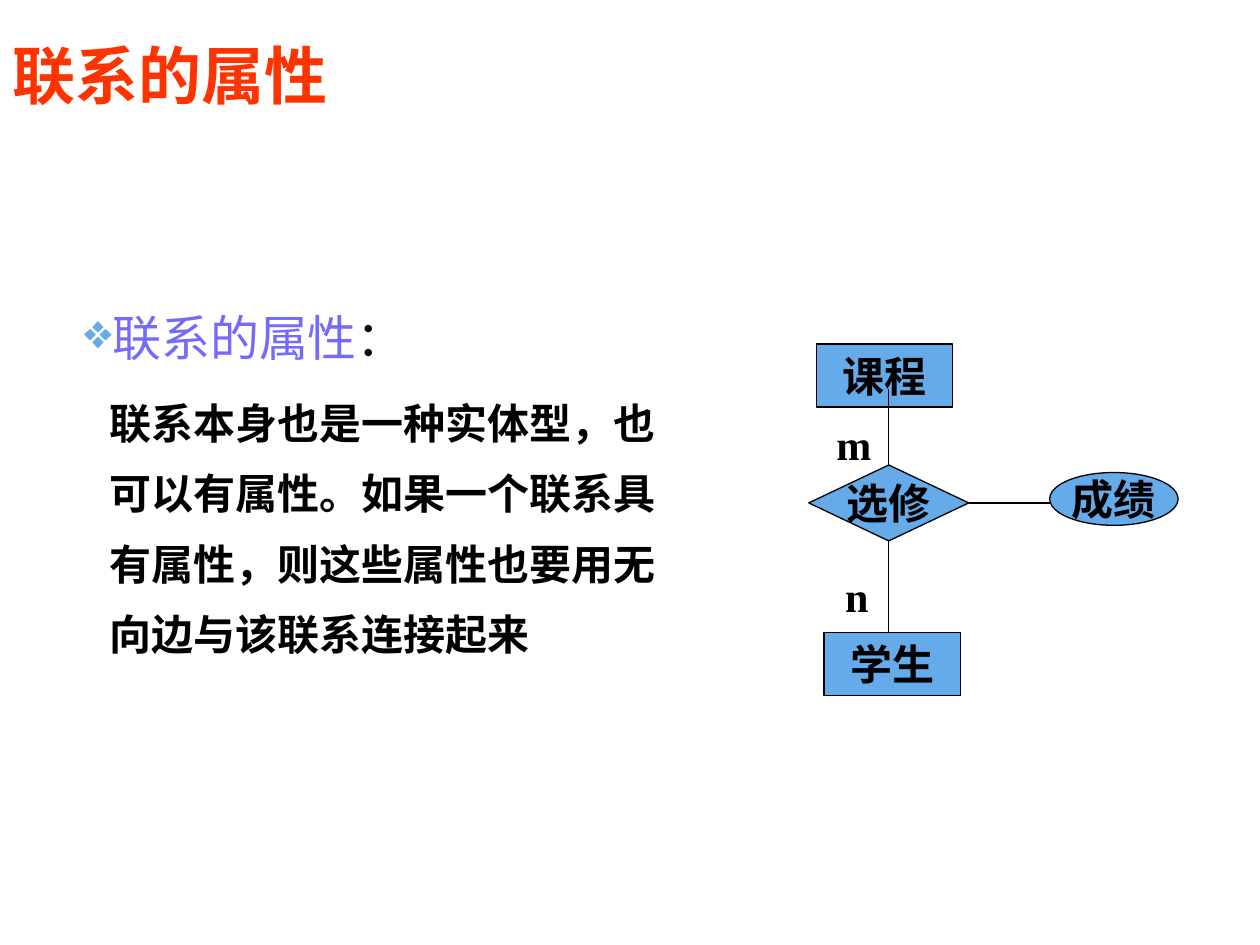
"""Build a slide on relationship attributes with a small ER diagram."""
import pptx
import pptx.dml.color
import pptx.enum.shapes
import pptx.enum.text
import pptx.oxml.ns
import pptx.util
from lxml import etree

Pt = pptx.util.Pt
SHAPES = pptx.enum.shapes.MSO_SHAPE
ALIGN = pptx.enum.text.PP_ALIGN
ANCHOR = pptx.enum.text.MSO_ANCHOR
qn = pptx.oxml.ns.qn

COLORS = {
    "title": "FF3300",
    "node": "65AAE9",
    "ink": "000000",
    "term": "746AFC",
}
LATIN = "Times New Roman"
CJK = "Noto Sans CJK SC"


def color(name):
    """Return a named colour."""
    return pptx.dml.color.RGBColor.from_string(COLORS[name])


def add_span(para, text, size=24, name="ink", bold=True, font=LATIN):
    """Add one run with its Latin and East Asian fonts."""
    span = para.add_run()
    span.text = text
    span.font.size = Pt(size)
    span.font.bold = bold
    span.font.name = font
    span.font.color.rgb = color(name)
    latin = span.font._element.find(qn("a:latin"))
    latin.addnext(latin.makeelement(qn("a:ea"), {"typeface": CJK}))


def add_box(page, left, top, width, height, anchor=ANCHOR.MIDDLE):
    """Add an empty wrapping text box."""
    box = page.shapes.add_textbox(Pt(left), Pt(top), Pt(width), Pt(height))
    box.text_frame.word_wrap = True
    box.text_frame.vertical_anchor = anchor
    return box


def add_node(page, kind, text, left, top, width, height):
    """Add a diagram node with a centred label."""
    node = page.shapes.add_shape(kind, Pt(left), Pt(top), Pt(width), Pt(height))
    node.shadow.inherit = False
    node.fill.solid()
    node.fill.fore_color.rgb = color("node")
    node.line.color.rgb = color("ink")
    node.line.width = Pt(0.75)
    node.text_frame.word_wrap = False
    node.text_frame.vertical_anchor = ANCHOR.MIDDLE
    para = node.text_frame.paragraphs[0]
    para.alignment = ALIGN.CENTER
    add_span(para, text)
    return node


def add_edge(page, node, site, x, y):
    """Draw a line from a connection site of a node to a point."""
    edge = page.shapes.add_connector(
        pptx.enum.shapes.MSO_CONNECTOR.STRAIGHT, Pt(x), Pt(y), Pt(x), Pt(y))
    edge.begin_connect(node, site)
    edge.line.color.rgb = color("ink")
    edge.line.width = Pt(0.75)
    etree.SubElement(edge._element.spPr, qn("a:effectLst"))


def add_bullet(para):
    """Give a paragraph a coloured diamond bullet."""
    properties = para._p.get_or_add_pPr()
    tint = etree.SubElement(properties, qn("a:buClr"))
    etree.SubElement(tint, qn("a:srgbClr"), val=COLORS["node"])
    etree.SubElement(properties, qn("a:buChar"), char="❖")


def set_layout(para, spacing, indent=0):
    """Set the line spacing and the indents of a paragraph."""
    para.line_spacing = Pt(spacing)
    properties = para._p.get_or_add_pPr()
    properties.set("marL", str(Pt(36)))
    properties.set("indent", str(Pt(indent)))


def add_explanation(page):
    """Add the term and its explanation."""
    frame = add_box(page, 19.4, 157, 380.2, 250.6, ANCHOR.TOP).text_frame
    term = frame.paragraphs[0]
    set_layout(term, 49, -14.4)
    add_bullet(term)
    add_span(term, "联系的属性", 28, "term", False)
    add_span(term, "：", 28, bold=False)
    detail = frame.add_paragraph()
    set_layout(detail, 40.3)
    detail.space_before = Pt(6)
    add_span(detail, "联系本身也是一种实体型，也可以有属性。如果一个联系具有属性，"
                     "则这些属性也要用无向边与该联系连接起来")


def add_diagram(page):
    """Add the entities, the relationship, its attribute and the edges."""
    add_node(page, SHAPES.RECTANGLE, "课程", 466.6, 196.6, 77.8, 36)
    choice = add_node(page, SHAPES.DIAMOND, "选修", 462.2, 265.7, 91.4, 43.4)
    add_node(page, SHAPES.RECTANGLE, "学生", 470.9, 361.4, 77.8, 36)
    add_node(page, SHAPES.OVAL, "成绩", 599.8, 270, 73.4, 30.2)
    for site, x, y in ((0, 507.9, 222.5), (2, 507.9, 361.4), (3, 599.8, 287.4)):
        add_edge(page, choice, site, x, y)
    for text, left, top in (("m", 470.9, 235.4), ("n", 475.9, 322.6)):
        box = add_box(page, left, top, 23, 36)
        add_span(box.text_frame.paragraphs[0], text)


def main():
    """Build and save the deck."""
    deck = pptx.Presentation()
    deck.slide_width, deck.slide_height = Pt(720), Pt(540)
    page = deck.slides.add_slide(deck.slide_layouts[6])
    title = add_box(page, 0, 20.2, 581.8, 44.6)
    add_span(title.text_frame.paragraphs[0], "联系的属性", 36, "title", font=CJK)
    add_diagram(page)
    add_explanation(page)
    deck.save("out.pptx")


if __name__ == "__main__":
    main()
